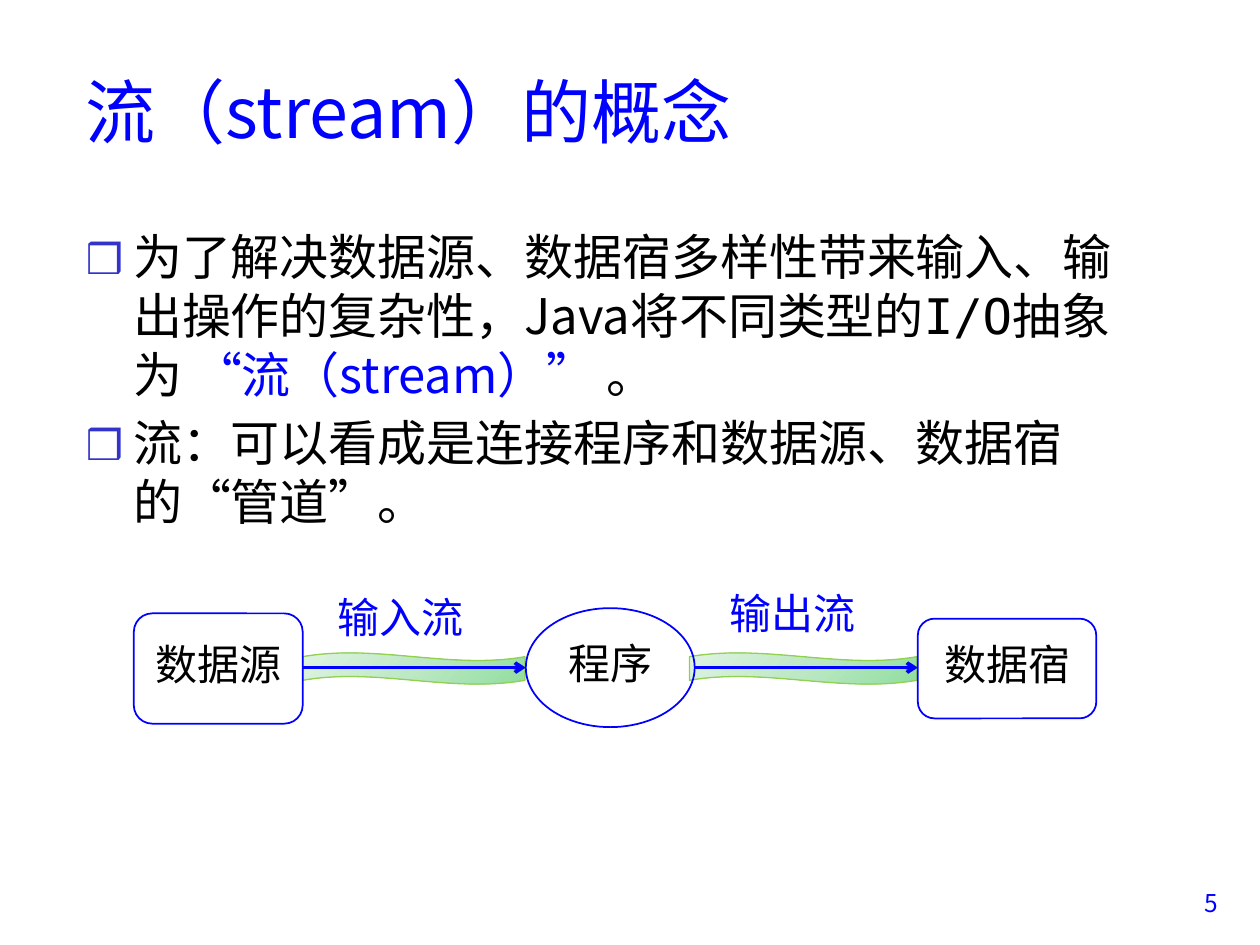
"""Build the slide that introduces the concept of a stream."""
from lxml.etree import SubElement
from pptx import Presentation
from pptx.dml.color import RGBColor
from pptx.enum.shapes import MSO_CONNECTOR, MSO_SHAPE
from pptx.enum.text import MSO_ANCHOR, PP_ALIGN
from pptx.oxml.ns import qn
from pptx.util import Pt

SANS, MONO = "Noto Sans CJK SC", "DejaVu Sans Mono"
BLUE, BLACK = "0000FF", "000000"


def rgb(value):
    return RGBColor.from_string(value)


def write(p, runs, size, **formats):
    for name, value in formats.items():
        setattr(p, name, value)
    for text, face, color in runs:
        r = p.add_run()
        r.text = text
        for name, value in {"size": Pt(size), "name": face}.items():
            setattr(r.font, name, value)
        r.font.color.rgb = rgb(color)
        SubElement(r.font._element, qn("a:ea"), typeface=SANS)


prs = Presentation()
prs.slide_width, prs.slide_height = Pt(720), Pt(540)
s = prs.slides.add_slide(prs.slide_layouts[6])

body = [
    [
        ("为了解决数据源、数据宿多样性带来输入、输出操作的复杂性，Java将不同类型的", SANS, BLACK),
        ("I/O", MONO, BLACK),
        ("抽象为 ", SANS, BLACK),
        ("“流（stream）”", SANS, BLUE),
        (" 。", SANS, BLACK),
    ],
    [("流：可以看成是连接程序和数据源、数据宿的“管道”。", SANS, BLACK)],
]

tf = s.shapes.add_textbox(Pt(42), Pt(18), Pt(612), Pt(90)).text_frame
tf.word_wrap, tf.vertical_anchor = True, MSO_ANCHOR.MIDDLE
write(tf.paragraphs[0], [("流（stream）的概念", SANS, BLUE)], 40)

tf = s.shapes.add_textbox(Pt(42), Pt(126), Pt(612), Pt(366)).text_frame
tf.word_wrap = True
for i, runs in enumerate(body):
    p = tf.add_paragraph() if i else tf.paragraphs[0]
    if i:
        p.space_before = Pt(5.6)
    pPr = p._p.get_or_add_pPr()
    pPr.set("marL", str(Pt(27)))
    pPr.set("indent", str(-Pt(27)))
    SubElement(SubElement(pPr, qn("a:buClr")), qn("a:srgbClr"), val="3333CC")
    SubElement(pPr, qn("a:buSzPct"), val="85000")
    SubElement(pPr, qn("a:buFont"), typeface=SANS)
    SubElement(pPr, qn("a:buChar"), char="❒")
    write(p, runs, 28)

tf = s.shapes.add_textbox(Pt(655), Pt(504), Pt(48), Pt(36)).text_frame
tf.word_wrap = True
write(tf.paragraphs[0], [("5", SANS, BLUE)], 14, alignment=PP_ALIGN.RIGHT)

for x, w in ((173, 127), (394, 130)):
    sp = s.shapes.add_shape(MSO_SHAPE.WAVE, Pt(x), Pt(373), Pt(w), Pt(18))
    sp.shadow.inherit = False
    sp.fill.gradient()
    sp.fill.gradient_angle = 135
    stops = sp._element.spPr.find(".//" + qn("a:gsLst"))
    for stop in list(stops):
        stops.remove(stop)
    for pos, color in ((0, "91DEA0"), (50, "BDE8C5"), (100, "DFF3E3")):
        stop = SubElement(stops, qn("a:gs"), pos=str(pos * 1000))
        SubElement(stop, qn("a:srgbClr"), val=color)
    sp.line.color.rgb, sp.line.width = rgb("92D050"), Pt(0.75)

nodes = [
    ("数据源", MSO_SHAPE.ROUNDED_RECTANGLE, 76.5, 350.5, 96.5, 63),
    ("程序", MSO_SHAPE.OVAL, 300.5, 347.5, 96.5, 68),
    ("数据宿", MSO_SHAPE.ROUNDED_RECTANGLE, 524.5, 353.5, 102, 57),
]
for text, kind, x, y, w, h in nodes:
    sp = s.shapes.add_shape(kind, Pt(x), Pt(y), Pt(w), Pt(h))
    sp.shadow.inherit = False
    sp.fill.background()
    sp.line.color.rgb, sp.line.width = rgb(BLUE), Pt(1)
    tf = sp.text_frame
    tf.vertical_anchor = MSO_ANCHOR.MIDDLE
    write(tf.paragraphs[0], [(text, SANS, BLACK)], 24,
          alignment=PP_ALIGN.CENTER, line_spacing=0.8)

for text, x, y in (("输入流", 186, 340), ("输出流", 410, 337.5)):
    tf = s.shapes.add_textbox(Pt(x), Pt(y), Pt(87), Pt(31)).text_frame
    tf.word_wrap = False
    write(tf.paragraphs[0], [(text, MONO, BLUE)], 24, line_spacing=0.8)

for x1, x2 in ((173, 300.5), (397, 524.5)):
    c = s.shapes.add_connector(MSO_CONNECTOR.STRAIGHT, Pt(x1), Pt(381.5), Pt(x2), Pt(381.5))
    c.line.color.rgb, c.line.width = rgb(BLUE), Pt(2)
    SubElement(c.line._get_or_add_ln(), qn("a:tailEnd"), type="arrow")
    SubElement(c._element.spPr, qn("a:effectLst"))

prs.save("out.pptx")
